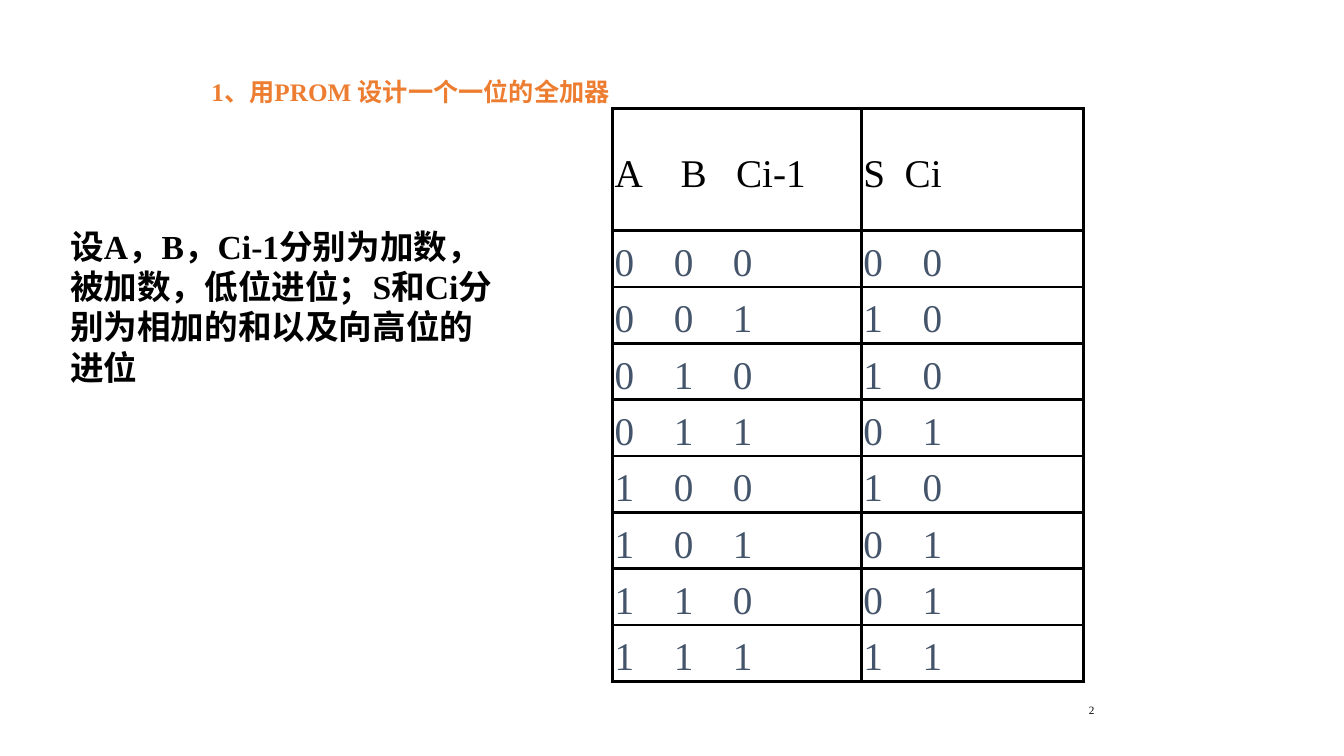
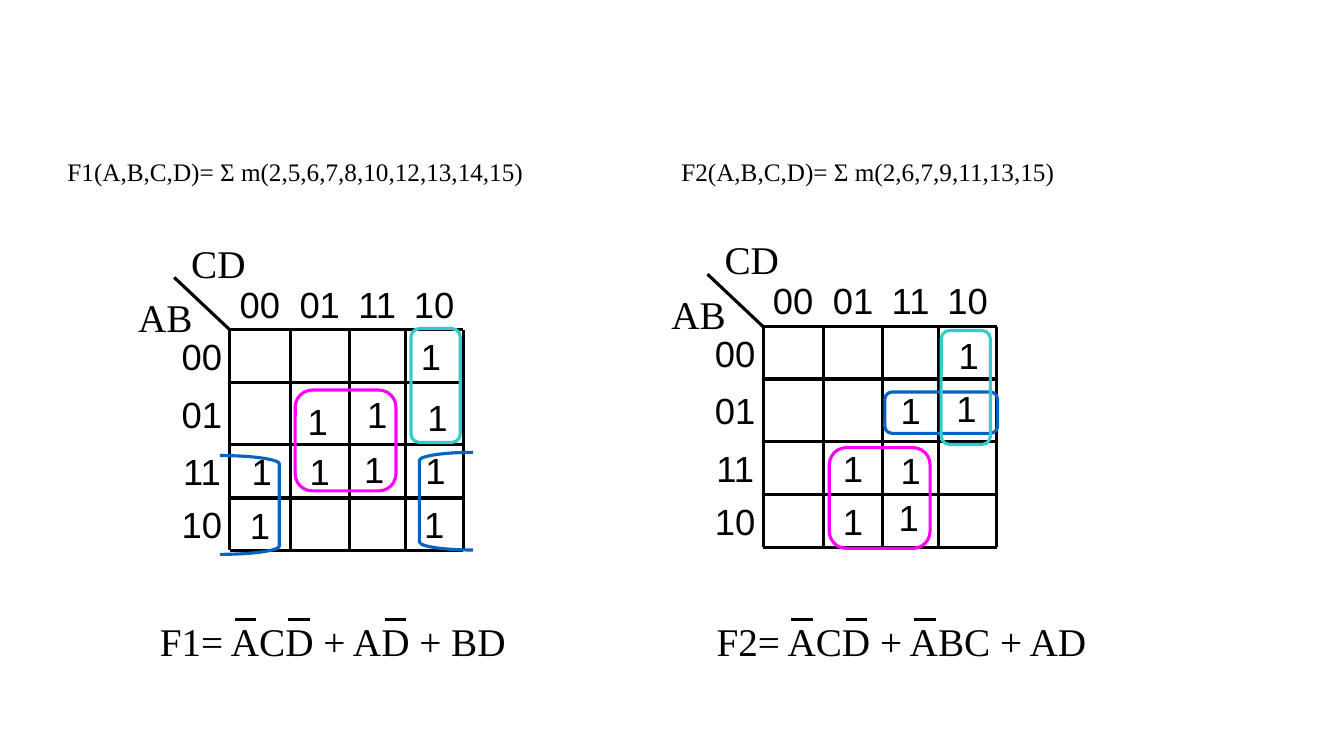
from itertools import accumulate, product

from lxml import etree
from pptx import Presentation
from pptx.dml.color import RGBColor
from pptx.enum.shapes import MSO_CONNECTOR, MSO_SHAPE
from pptx.enum.text import MSO_ANCHOR, PP_ALIGN
from pptx.oxml.ns import qn
from pptx.util import Cm, Pt

STRAIGHT = MSO_CONNECTOR.STRAIGHT
ROUNDED = MSO_SHAPE.ROUNDED_RECTANGLE
LEFT_BRACKET, RIGHT_BRACKET = MSO_SHAPE.LEFT_BRACKET, MSO_SHAPE.RIGHT_BRACKET
MIDDLE = MSO_ANCHOR.MIDDLE
CENTER, RIGHT = PP_ALIGN.CENTER, PP_ALIGN.RIGHT

BLACK, ORANGE, SLATE = "000000", "ED7D31", "44546A"
MAGENTA, TEAL, BLUE = "FF00FF", "33CCCC", "0563C1"
SERIF, SANS = "Times New Roman", "Arial"
LINE_WIDTH = Pt(2.25)

# Text styles: format values for the frame, the paragraph and the font
TIGHT = {"margin_left": Cm(0.05), "margin_right": Cm(0.05), "margin_top": 0, "margin_bottom": 0}
TITLE = {"paragraph": {"line_spacing": 1.3},
         "font": {"name": SERIF, "size": Pt(18), "bold": True}, "colour": ORANGE}
BODY = {"font": {"name": SERIF, "size": Pt(24), "bold": True}}
PAGE_NUMBER = {"frame": {"vertical_anchor": MIDDLE}, "paragraph": {"alignment": RIGHT},
               "font": {"name": SERIF, "size": Pt(8)}}
TABLE_HEAD = {"paragraph": {"line_spacing": 1.2}, "font": {"name": SERIF, "size": Pt(28)}}
TABLE_BODY = {**TABLE_HEAD, "colour": SLATE}
HEADING = {"font": {"name": SERIF, "size": Pt(18)}}
RESULT = {"font": {"name": SERIF, "size": Pt(28)}}
AXIS = {"frame": TIGHT, **RESULT}
MAP_DIGIT = {"frame": {**TIGHT, "vertical_anchor": MIDDLE}, "paragraph": {"alignment": CENTER},
             "font": {"name": SANS, "size": Pt(26)}}


def colour(hex_value):
    return RGBColor.from_string(hex_value)


def write(frame, text, style, tab_stops=()):
    frame.word_wrap = True
    paragraph = frame.paragraphs[0]
    if tab_stops:
        tab_list = etree.SubElement(paragraph._p.get_or_add_pPr(), qn("a:tabLst"))
        for stop in tab_stops:
            etree.SubElement(tab_list, qn("a:tab"), pos=str(Cm(stop)), algn="l")
    run = paragraph.add_run()
    run.text = text
    for part, target in (("frame", frame), ("paragraph", paragraph), ("font", run.font)):
        for name, value in style.get(part, {}).items():
            setattr(target, name, value)
    run.font.color.rgb = colour(style.get("colour", BLACK))


prs = Presentation()
prs.slide_width, prs.slide_height = Cm(33.87), Cm(19.05)
blank = prs.slide_layouts[6]
adder_slide = prs.slides.add_slide(blank)
maps_slide = prs.slides.add_slide(blank)

# Slide 1: texts of the full adder (slide, text, style, left, top, width, height)
texts = [
    (adder_slide, "2", PAGE_NUMBER, 25.65, 17.4, 2.18, 1),
    (adder_slide, "1、用PROM 设计一个一位的全加器", TITLE, 5.08, 1.57, 23.37, 1.24),
    (adder_slide, "设A，B，Ci-1分别为加数，被加数，低位进位；S和Ci分别为相加的和以及向高位的进位",
     BODY, 1.52, 5.56, 11.46, 4.37),
]

# Slide 1: truth table
truth_rows = [(("A", "B", "Ci-1"), ("S", "Ci"))]
for bits in product((0, 1), repeat=3):
    total = sum(bits)
    truth_rows.append((bits, (total % 2, total // 2)))

truth_table = adder_slide.shapes.add_table(
    len(truth_rows), 2, Cm(15.44), Cm(2.74), Cm(11.86), Cm(14.43)).table
truth_table.first_row = truth_table.horz_banding = False
for column, width in zip(truth_table.columns, (6.27, 5.59)):
    column.width = Cm(width)

for r, truth_row in enumerate(truth_rows):
    truth_table.rows[r].height = Cm(1.42 if r else 3.07)
    style = TABLE_BODY if r else TABLE_HEAD
    stops = ((1.49, 2.98), (1.49,)) if r else ((1.66, 3.06), (1.04,))
    for c, values in enumerate(truth_row):
        cell = truth_table.cell(r, c)
        for name, value in {**TIGHT, "vertical_anchor": MIDDLE}.items():
            setattr(cell, name, value)
        cell.fill.background()
        write(cell.text_frame, "\t".join(map(str, values)), style, stops[c])
        for i, side in enumerate(("lnL", "lnR", "lnT", "lnB")):
            border = etree.Element(qn(f"a:{side}"), w=str(LINE_WIDTH))
            border_fill = etree.SubElement(border, qn("a:solidFill"))
            etree.SubElement(border_fill, qn("a:srgbClr"), val=BLACK)
            cell._tc.get_or_add_tcPr().insert(i, border)

# Slide 2: two Karnaugh maps; each minterm has the small shift of its 1 in the cell
GRAY = (0, 1, 3, 2)
COLUMN_WIDTHS = (1.52, 1.5, 1.4, 1.47)
ROW_HEIGHTS = (1.32, 1.58, 1.34, 1.32)
col_edges = list(accumulate(COLUMN_WIDTHS, initial=0))
row_edges = list(accumulate(ROW_HEIGHTS, initial=0))
LABEL_WIDTH, LABEL_HEIGHT = 1.4, 1.32

karnaugh_maps = [
    {"name": "F1", "origin": (5.79, 8.31), "heading_left": 1.45, "result_left": 3.78,
     "result": "F1= ACD + AD + BD",
     "bars": ((5.92, 15.62), (9.7, 15.62), (7.26, 15.6)),
     "ones": {2: (-0.08, 0), 5: (-0.05, 0.2), 6: (0.08, 0.08), 7: (0, 0), 8: (0, 0.03),
              10: (0, 0), 12: (0.05, 0), 13: (0, 0), 14: (0.03, -0.03), 15: (-0.08, -0.05)}},
    {"name": "F2", "origin": (19.23, 8.23), "heading_left": 16.92, "result_left": 17.81,
     "result": "F2= ACD + ABC + AD",
     "bars": ((19.94, 15.62), (23.04, 15.62), (21.31, 15.6)),
     "ones": {2: (0.03, 0.05), 6: (-0.03, -0.05), 7: (0, 0), 9: (0, 0), 11: (-0.05, -0.1),
              13: (0, 0), 15: (0, 0.04)}},
]

segments = []
for k_map in karnaugh_maps:
    x, y = k_map["origin"]
    right, bottom = x + col_edges[-1], y + row_edges[-1]

    # Grid, corner diagonal and negation bars
    segments.append((x - LABEL_WIDTH, y - LABEL_HEIGHT, x, y))
    segments += [(x + edge, y, x + edge, bottom) for edge in col_edges]
    segments += [(x, y + edge, right, y + edge) for edge in row_edges]
    segments += [(left, top, left + 0.54, top) for left, top in k_map["bars"]]

    # Heading, result and axis names
    minterms = ",".join(map(str, k_map["ones"]))
    texts += [
        (maps_slide, f"{k_map['name']}(A,B,C,D)= Σ m({minterms})", HEADING,
         k_map["heading_left"], 3.81, 12.8, 1.02),
        (maps_slide, k_map["result"], RESULT, k_map["result_left"], 15.42, 10.87, 1.45),
        (maps_slide, "AB", AXIS, x - 2.36, y - 0.91, 2.16, 1.19),
        (maps_slide, "CD", AXIS, x - 1.02, y - 2.29, 2.16, 1.19),
    ]

    # Gray code labels and ones
    for i, code in enumerate(GRAY):
        label = format(code, "02b")
        texts += [
            (maps_slide, label, MAP_DIGIT,
             x + col_edges[i], y - LABEL_HEIGHT, COLUMN_WIDTHS[i], LABEL_HEIGHT),
            (maps_slide, label, MAP_DIGIT,
             x - LABEL_WIDTH, y + row_edges[i], LABEL_WIDTH, ROW_HEIGHTS[i]),
        ]
    for minterm, (dx, dy) in k_map["ones"].items():
        r, c = GRAY.index(minterm // 4), GRAY.index(minterm % 4)
        texts.append((maps_slide, "1", MAP_DIGIT, x + col_edges[c] + dx, y + row_edges[r] + dy,
                      COLUMN_WIDTHS[c], ROW_HEIGHTS[r]))

for segment in segments:
    line = maps_slide.shapes.add_connector(STRAIGHT, *map(Cm, segment))
    line.line.color.rgb = colour(BLACK)
    line.line.width = LINE_WIDTH
    etree.SubElement(line._element.spPr, qn("a:effectLst"))

# Slide 2: loops around the grouped ones
loops = [
    (ROUNDED, MAGENTA, 0.17, 7.44, 9.83, 2.54, 2.54),
    (ROUNDED, TEAL, 0.17, 10.36, 8.28, 1.24, 2.87),
    (RIGHT_BRACKET, BLUE, 0.14, 5.54, 11.48, 1.5, 2.49),
    (LEFT_BRACKET, BLUE, 0.15, 10.57, 11.4, 1.35, 2.46),
    (ROUNDED, MAGENTA, 0.17, 20.9, 11.28, 2.54, 2.54),
    (ROUNDED, BLUE, 0.17, 22.3, 9.88, 2.84, 1.04),
    (ROUNDED, TEAL, 0.17, 23.72, 8.33, 1.24, 2.87),
]
for kind, hue, rounding, *place in loops:
    loop = maps_slide.shapes.add_shape(kind, *map(Cm, place))
    loop.adjustments[0] = rounding
    loop.shadow.inherit = False
    loop.fill.background()
    loop.line.color.rgb = colour(hue)
    loop.line.width = LINE_WIDTH

# Text boxes of both slides
for slide, text, style, *place in texts:
    write(slide.shapes.add_textbox(*map(Cm, place)).text_frame, text, style)

prs.save("out.pptx")
